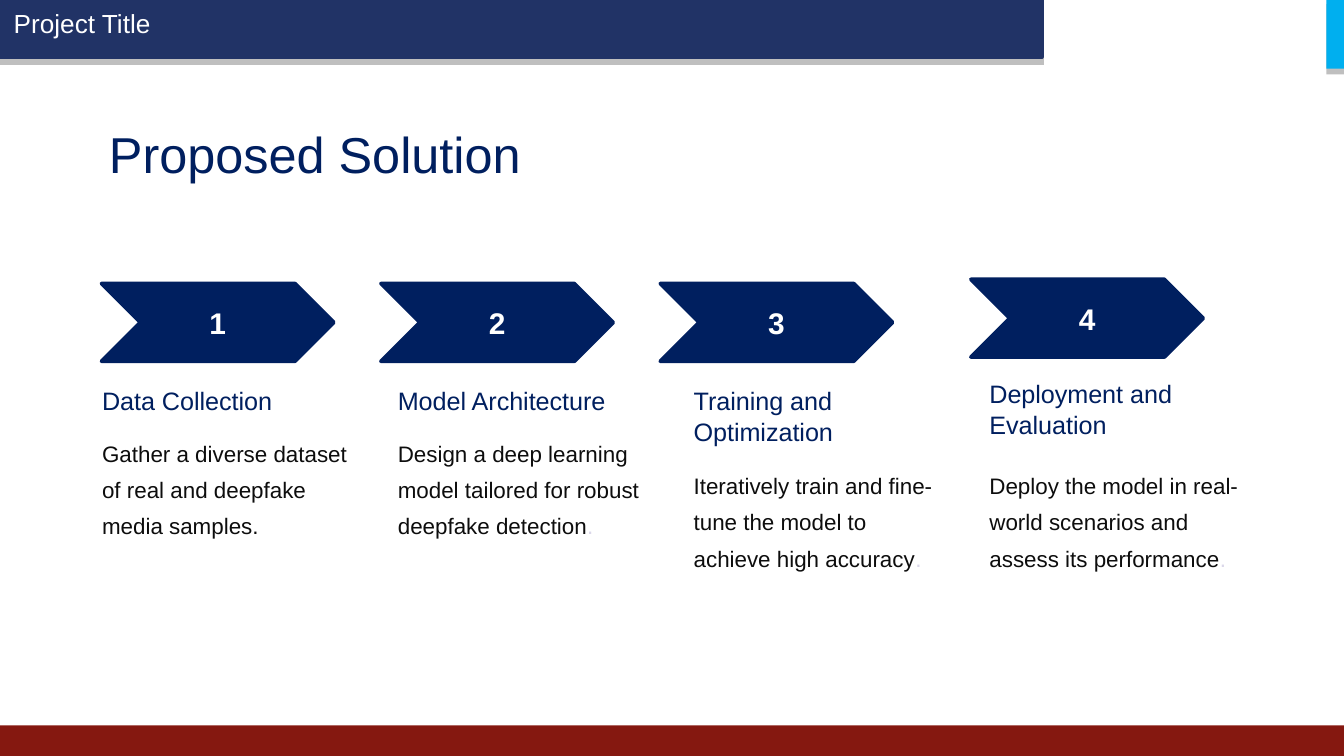
"""Build the Proposed Solution slide with its four numbered steps."""
from pptx import Presentation
from pptx.dml.color import RGBColor
from pptx.enum import shapes, text
from pptx.oxml import ns
from pptx.util import Cm, Pt
from lxml import etree

NAVY = RGBColor(0x00, 0x1F, 0x5F)
BAND = RGBColor(0x21, 0x33, 0x66)
RED = RGBColor(0x85, 0x18, 0x10)
CYAN = RGBColor(0x00, 0xAF, 0xEF)
BLACK = RGBColor(0x00, 0x00, 0x00)
WHITE = RGBColor(0xFF, 0xFF, 0xFF)
INK = RGBColor(0x0D, 0x0D, 0x0D)
PALE = RGBColor(0xDA, 0xD7, 0xE9)

deck = Presentation()
deck.slide_width = Cm(25.4)
deck.slide_height = Cm(14.29)
slide = deck.slides.add_slide(deck.slide_layouts[6])


def draw(kind, left, top, width, height, fill, edge=False):
    shape = slide.shapes.add_shape(kind, Cm(left), Cm(top), Cm(width), Cm(height))
    shape.shadow.inherit = False
    shape.fill.solid()
    shape.fill.fore_color.rgb = fill
    if edge:
        shape.line.color.rgb = fill
        shape.line.width = Pt(2)
    else:
        shape.line.fill.background()
    return shape


def write(left, top, width, height, runs, size, space=1.0, inset=(0.03, 0.06)):
    box = slide.shapes.add_textbox(Cm(left), Cm(top), Cm(width), Cm(height))
    frame = box.text_frame
    frame.word_wrap = True
    frame.margin_left, frame.margin_top = Cm(inset[0]), Cm(inset[1])
    frame.margin_right = frame.margin_bottom = 0
    para = frame.paragraphs[0]
    para.line_spacing = space
    for words, color in runs:
        run = para.add_run()
        run.text = words
        run.font.name = "Arial"
        run.font.size = Pt(size)
        run.font.color.rgb = color


RECT = shapes.MSO_SHAPE.RECTANGLE
shades = [
    draw(RECT, 0, 0, 19.73, 1.23, BLACK),
    draw(RECT, 25.07, 0.08, 0.33, 1.33, BLACK),
]
for shade in shades:
    tint = shade.fill._xPr.find(ns.qn("a:solidFill"))[0]
    etree.SubElement(tint, ns.qn("a:alpha"), val="25000")
draw(RECT, 0, 0, 19.69, 1.08, BAND, True)
draw(RECT, 25.07, 0, 0.33, 1.3, CYAN)
draw(RECT, 0, 13.71, 25.4, 0.58, RED)

write(0.23, 0.08, 2.8, 0.66, [("Project Title", WHITE)], 14)
write(0.38, 1.32, 9.5, 2.16, [("Proposed Solution", NAVY)], 27, inset=(1.68, 1.0))

steps = [
    (1.92, 5.36, "Data Collection", 3.4, 7.24,
     "Gather a diverse dataset of real and deepfake media samples", INK, 4.7, 8.08),
    (7.2, 5.36, "Model Architecture", 4.1, 7.24,
     "Design a deep learning model tailored for robust deepfake detection", PALE, 4.65, 8.08),
    (12.48, 5.36, "Training and Optimization", 2.75, 7.24,
     "Iteratively train and fine-tune the model to achieve high accuracy", PALE, 4.6, 8.69),
    (18.35, 5.28, "Deployment and Evaluation", 3.55, 7.11,
     "Deploy the model in real-world scenarios and assess its performance", PALE, 4.78, 8.69),
]
for i, (x, y, head, wide, high, body, dot, span, low) in enumerate(steps):
    arrow = draw(shapes.MSO_SHAPE.CHEVRON, x, y, 4.39, 1.47, NAVY, True)
    frame = arrow.text_frame
    frame.vertical_anchor = text.MSO_ANCHOR.MIDDLE
    frame.margin_left = frame.margin_right = 0
    frame.margin_top = frame.margin_bottom = 0
    para = frame.paragraphs[0]
    para.alignment = text.PP_ALIGN.CENTER
    run = para.add_run()
    run.text = str(i + 1)
    run.font.name = "Arial"
    run.font.size = Pt(16)
    run.font.bold = True
    run.font.color.rgb = WHITE

    left = 1.9 + 5.59 * i
    tall = 1.24 if i > 1 else 0.64
    write(left, high, wide, tall, [(head, NAVY)], 13.5, 1.04, (0.03, 0.02))
    write(left, low, span, 2.13, [(body, INK), (".", dot)], 12, 1.35)

deck.save("out.pptx")
